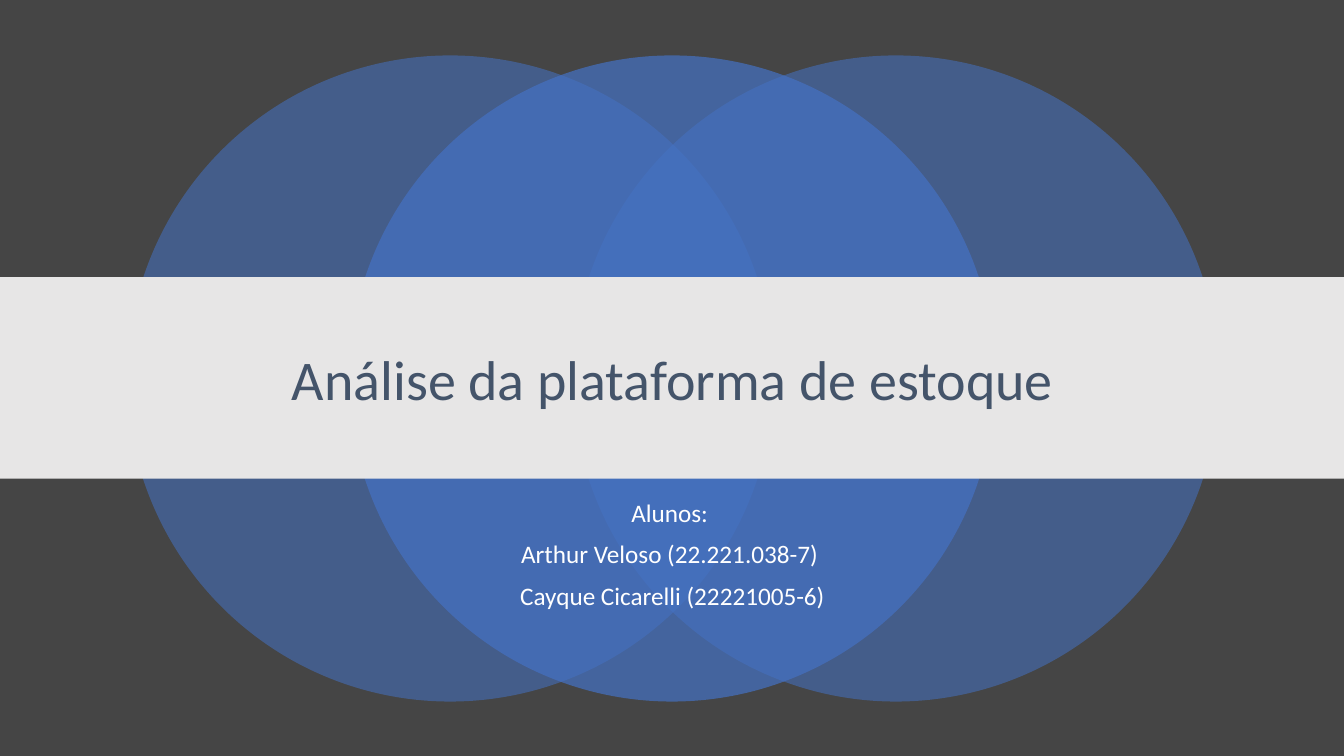
import pptx
import pptx.util
import pptx.dml.color
import pptx.enum.shapes
import pptx.enum.text
import pptx.oxml
import pptx.oxml.ns

Inches = pptx.util.Inches
Pt = pptx.util.Pt
KIND = pptx.enum.shapes.MSO_SHAPE
ANCHOR = pptx.enum.text.MSO_ANCHOR
ALIGN = pptx.enum.text.PP_ALIGN

HUES = {
    "back": "454545",
    "disc": "4472C4",
    "band": "E7E6E6",
    "title": "44546A",
    "names": "FFFFFF",
}


class Deck:
    """Holds the style and the current slide."""

    font = "Calibri"

    def __init__(self, wide, high):
        self.show = pptx.Presentation()
        self.show.slide_width = Inches(wide)
        self.show.slide_height = Inches(high)
        self.slide = self.show.slides.add_slide(self.show.slide_layouts[5])
        self.tint(self.slide.background.fill, "back")

    def tint(self, fill, hue):
        fill.solid()
        fill.fore_color.rgb = pptx.dml.color.RGBColor.from_string(HUES[hue])

    def shape(self, kind, box, hue, alpha=100):
        item = self.slide.shapes.add_shape(kind, *map(Inches, box))
        item.shadow.inherit = False
        self.tint(item.fill, hue)
        item.line.fill.background()
        if alpha < 100:
            color = item.element.spPr.find(".//" + pptx.oxml.ns.qn("a:srgbClr"))
            color.append(pptx.oxml.parse_xml(
                f'<a:alpha {pptx.oxml.ns.nsdecls("a")} val="{alpha * 1000}"/>'))

    def style(self, frame, lines, size, hue, anchor, gap=0):
        frame.word_wrap = True
        frame.auto_size = pptx.enum.text.MSO_AUTO_SIZE.NONE
        frame.vertical_anchor = anchor
        frame.text = "\n".join(lines)
        for index, para in enumerate(frame.paragraphs):
            para.alignment = ALIGN.CENTER
            para.line_spacing = 0.9
            para.space_before = Pt(gap if index else 0)
            para.font.name = self.font
            para.font.size = Pt(size)
            self.tint(para.font.fill, hue)

    def title(self, box, text, size):
        item = self.slide.shapes.title
        item.left, item.top, item.width, item.height = map(Inches, box)
        self.style(item.text_frame, [text], size, "title", ANCHOR.MIDDLE)
        # Bring the title in front of the band
        item.element.getparent().append(item.element)

    def text(self, box, lines, size, hue, gap):
        item = self.slide.shapes.add_textbox(*map(Inches, box))
        self.style(item.text_frame, lines, size, hue, ANCHOR.TOP, gap)

    def save(self):
        self.show.save("out.pptx")


def main():
    deck = Deck(13.33, 7.5)

    # Three discs, the middle one in front
    disc = 6.41
    for left, alpha in ((1.26, 55), (5.68, 55), (3.46, 70)):
        deck.shape(KIND.OVAL, (left, 0.55, disc, disc), "disc", alpha)

    # Band with the title
    deck.shape(KIND.RECTANGLE, (0, 2.75, 13.33, 2), "band")
    deck.title((1.67, 3.04, 10, 1.51), "Análise da plataforma de estoque", 40)

    # Student names
    names = ["Alunos: ", "Arthur Veloso (22.221.038-7) ",
             "Cayque Cicarelli (22221005-6)"]
    deck.text((1.67, 4.92, 10, 1.35), names, 18, "names", 10)

    deck.save()


if __name__ == "__main__":
    main()
